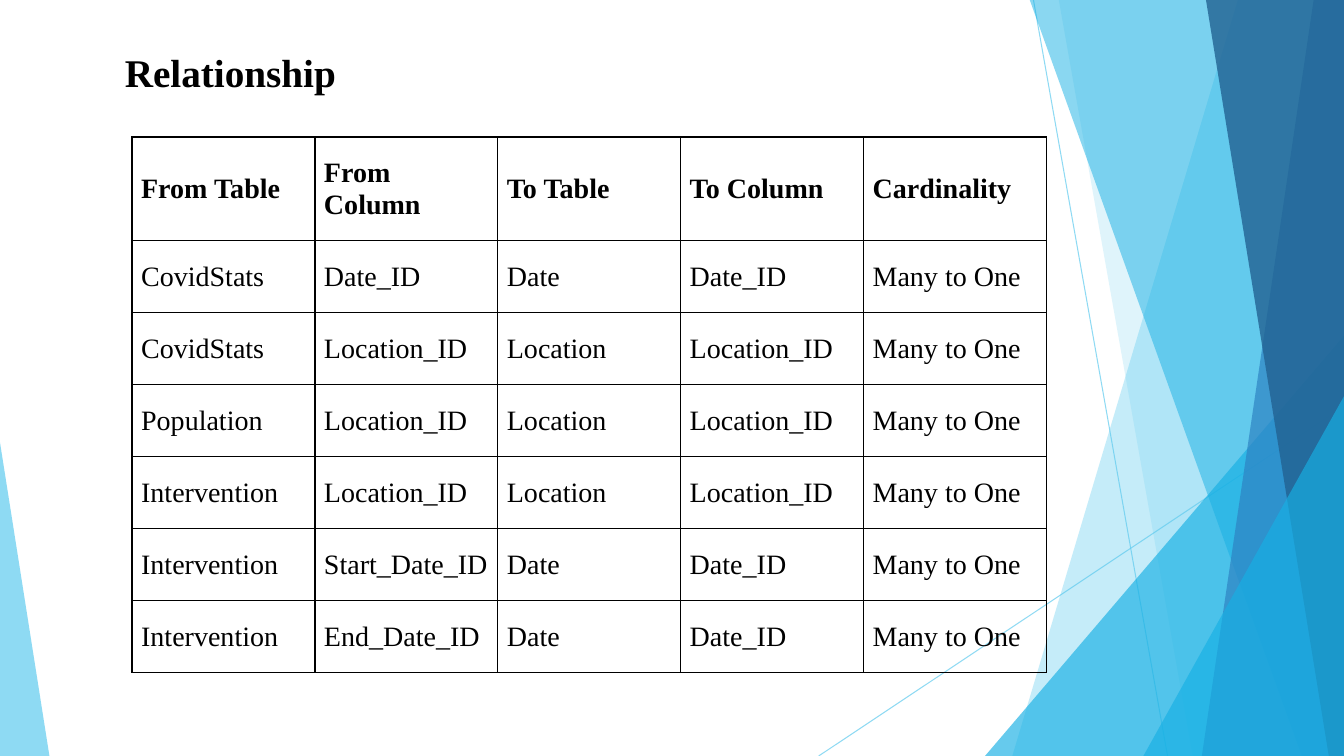
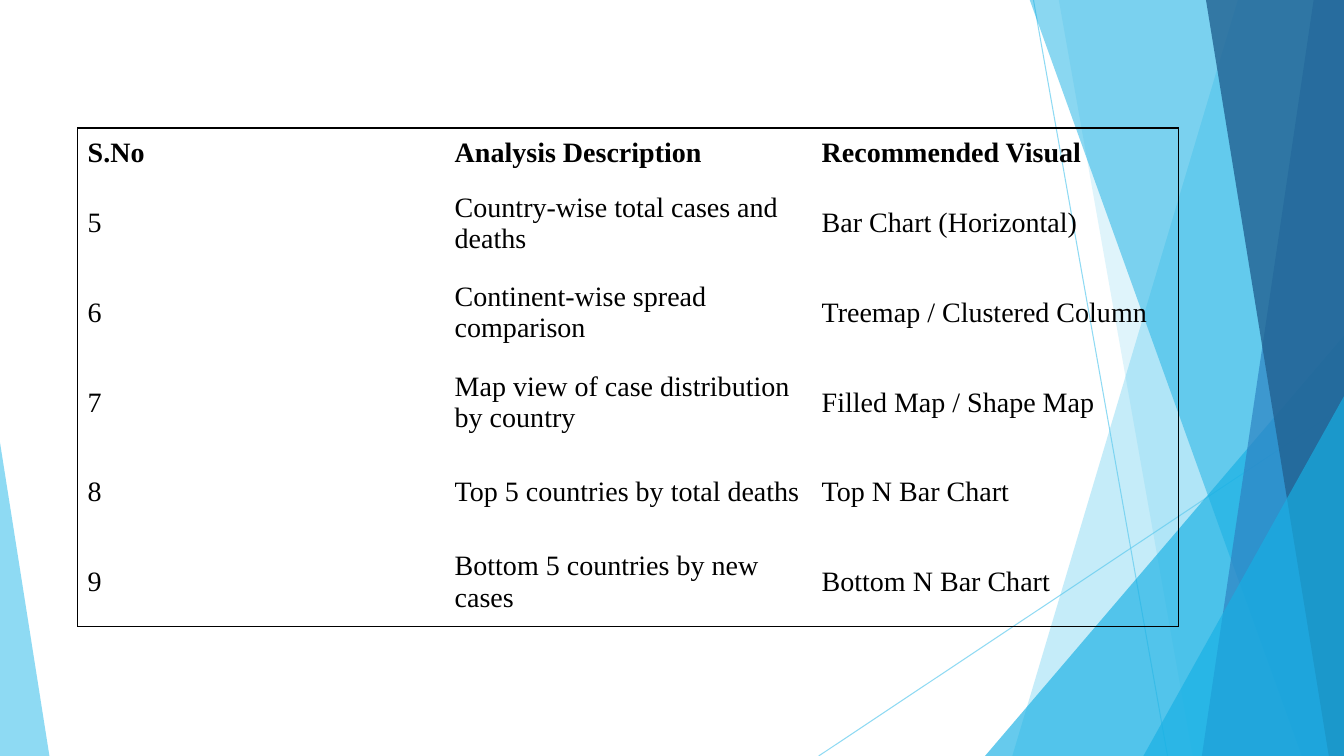
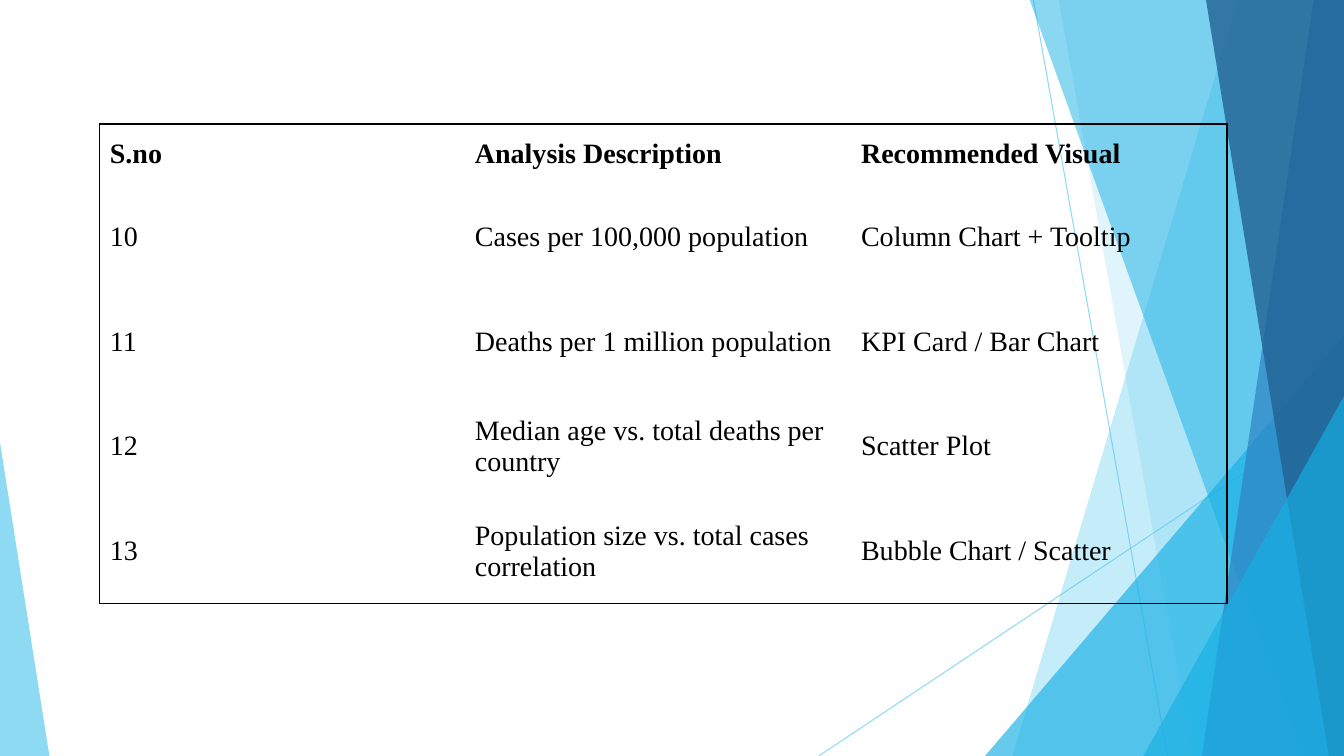
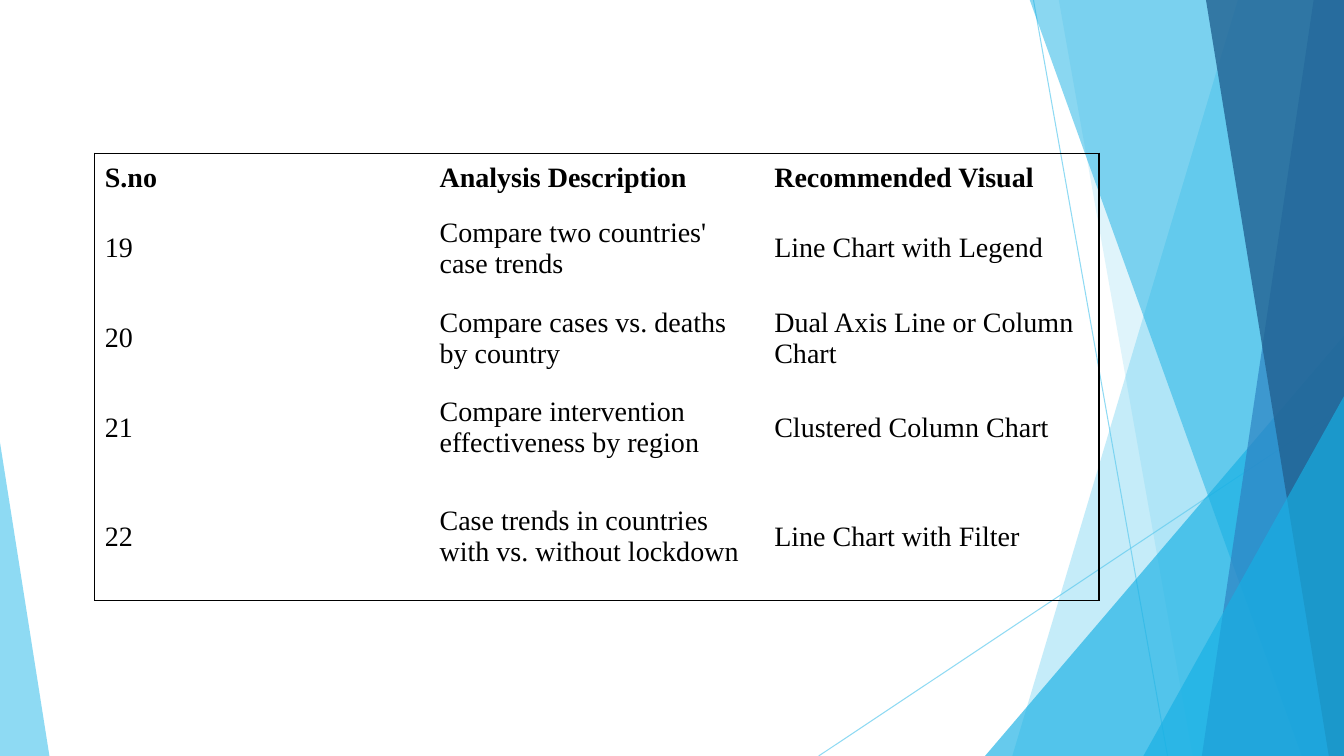
from pptx import Presentation
from pptx.dml.color import RGBColor
from pptx.enum.shapes import MSO_CONNECTOR, MSO_SHAPE
from pptx.enum.text import MSO_ANCHOR, MSO_AUTO_SIZE
from pptx.oxml import parse_xml
from pptx.oxml.ns import nsdecls, qn
from pptx.util import Inches, Pt

WIDTH, HEIGHT = 13.33, 7.5
FONT = "Times New Roman"
COLORS = {
    "text": "000000",
    "sky": "5FCBEF",
    "cyan": "17B0E4",
    "blue": "2E83C3",
    "navy": "226292",
}

# Backdrop, back to front
LINES = [((10.25, 0), (11.58, HEIGHT)), ((WIDTH, 4.03), (8.12, HEIGHT))]
LINE_OPACITY = 70
# band: top-left x, bottom-left x, colour, opacity; it runs to the right edge
# triangle: left, top, width, apex position, colour, opacity; it stands on the bottom edge
BACKDROP = [
    ("band", 12.28, 10.04, "sky", 36),
    ("band", 10.5, 11.83, "sky", 20),
    ("triangle", 9.77, 3.33, 3.56, 1, "cyan", 66),
    ("band", 10.21, 12.91, "cyan", 50),
    ("band", 13.03, 11.92, "blue", 70),
    ("band", 11.96, 13.18, "navy", 80),
    ("triangle", 11.34, 3.93, 1.99, 1, "cyan", 66),
    ("triangle", 0, 4.39, 0.49, 0, "sky", 70),
]

# Slide content
ANALYSIS_HEADINGS = ("Analysis Description", "Recommended Visual")
SLIDES = [
    {
        "title": "Relationship",
        "at": (1.31, 1.36),
        "columns": [1.814] * 5,
        "heights": [1.03] + [0.714] * 6,
        "grid": True,
        "margins": (0.09, 0.04),
        "rows": [
            ("From Table", "From Column", "To Table", "To Column", "Cardinality"),
            ("CovidStats", "Date_ID", "Date", "Date_ID", "Many to One"),
            ("CovidStats", "Location_ID", "Location", "Location_ID", "Many to One"),
            ("Population", "Location_ID", "Location", "Location_ID", "Many to One"),
            ("Intervention", "Location_ID", "Location", "Location_ID", "Many to One"),
            ("Intervention", "Start_Date_ID", "Date", "Date_ID", "Many to One"),
            ("Intervention", "End_Date_ID", "Date", "Date_ID", "Many to One"),
        ],
    },
    {
        "at": (0.77, 1.27),
        "columns": [3.64] * 3,
        "heights": [0.5] + [0.89] * 5,
        "rows": [
            ("S.No", *ANALYSIS_HEADINGS),
            ("5", "Country-wise total cases and deaths", "Bar Chart (Horizontal)"),
            ("6", "Continent-wise spread comparison", "Treemap / Clustered Column"),
            ("7", "Map view of case distribution by country", "Filled Map / Shape Map"),
            ("8", "Top 5 countries by total deaths", "Top N Bar Chart"),
            ("9", "Bottom 5 countries by new cases", "Bottom N Bar Chart"),
        ],
    },
    {
        "at": (0.99, 1.23),
        "columns": [3.62, 3.83, 3.73],
        "heights": [0.6] + [1.04] * 4,
        "rows": [
            ("S.no", *ANALYSIS_HEADINGS),
            ("10", "Cases per 100,000 population", "Column Chart + Tooltip"),
            ("11", "Deaths per 1 million population", "KPI Card / Bar Chart"),
            ("12", "Median age vs. total deaths per country", "Scatter Plot"),
            ("13", "Population size vs. total cases correlation", "Bubble Chart / Scatter"),
        ],
    },
    {
        "at": (0.94, 1.52),
        "columns": [3.32] * 3,
        "heights": [0.5] + [0.89] * 3 + [1.27],
        "rows": [
            ("S.no", *ANALYSIS_HEADINGS),
            ("19", "Compare two countries' case trends", "Line Chart with Legend"),
            ("20", "Compare cases vs. deaths by country", "Dual Axis Line or Column Chart"),
            ("21", "Compare intervention effectiveness by region", "Clustered Column Chart"),
            ("22", "Case trends in countries with vs. without lockdown", "Line Chart with Filter"),
        ],
    },
]


def color(name):
    return RGBColor.from_string(COLORS[name])


def set_opacity(shape, percent):
    for value in shape.element.spPr.iter(qn("a:srgbClr")):
        value.append(parse_xml(f'<a:alpha {nsdecls("a")} val="{percent * 1000}"/>'))


def add_line(page, start, end):
    points = [Inches(value) for value in (*start, *end)]
    line = page.shapes.add_connector(MSO_CONNECTOR.STRAIGHT, *points)
    line.line.color.rgb = color("sky")
    line.line.width = Pt(0.75)
    line.element.spPr.append(parse_xml(f'<a:effectLst {nsdecls("a")}/>'))
    set_opacity(line, LINE_OPACITY)
    return line


def add_band(page, top_x, bottom_x):
    corners = [(top_x, -0.01), (WIDTH, -0.01), (WIDTH, HEIGHT), (bottom_x, HEIGHT)]
    start, *others = [(Inches(x), Inches(y)) for x, y in corners]
    outline = page.shapes.build_freeform(*start)
    outline.add_line_segments(others, close=True)
    return outline.convert_to_shape()


def add_triangle(page, left, top, width, apex):
    box = [Inches(value) for value in (left, top, width, HEIGHT - top)]
    triangle = page.shapes.add_shape(MSO_SHAPE.ISOSCELES_TRIANGLE, *box)
    triangle.adjustments[0] = apex
    return triangle


def add_backdrop(page, layout):
    """Draw the backdrop once and move it to the layout all slides share."""
    for placeholder in list(layout.placeholders):
        layout.shapes.element.remove(placeholder.element)
    parts = [add_line(page, start, end) for start, end in LINES]
    makers = {"band": add_band, "triangle": add_triangle}
    for kind, *geometry, fill, opacity in BACKDROP:
        shape = makers[kind](page, *geometry)
        shape.shadow.inherit = False
        shape.fill.solid()
        shape.fill.fore_color.rgb = color(fill)
        shape.line.fill.background()
        set_opacity(shape, opacity)
        parts.append(shape)
    for part in parts:
        layout.shapes.element.append(part.element)


def style_text(frame, size, bold):
    for para in frame.paragraphs:
        for span in para.runs:
            span.font.name = FONT
            span.font.size = Pt(size)
            span.font.bold = bold
            span.font.color.rgb = color("text")


def add_title(page, text):
    box = page.shapes.add_textbox(Inches(1.14), Inches(0.43), Inches(5.8), Inches(0.57))
    frame = box.text_frame
    frame.word_wrap = True
    frame.auto_size = MSO_AUTO_SIZE.SHAPE_TO_FIT_TEXT
    frame.text = text
    style_text(frame, 28, True)


def set_borders(cell, drawn):
    """Rule the sides that are drawn and clear the others."""
    properties = cell._tc.get_or_add_tcPr()
    for index, side in enumerate("LRTB"):
        if side in drawn:
            paint = f'<a:solidFill><a:srgbClr val="{COLORS["text"]}"/></a:solidFill>'
        else:
            paint = "<a:noFill/>"
        properties.insert(index, parse_xml(
            f'<a:ln{side} {nsdecls("a")} w="{Pt(1)}">{paint}</a:ln{side}>'))


def add_grid(page, at, columns, heights, rows, grid=False, margins=(0.1, 0.05)):
    size = sum(columns), sum(heights)
    box = [Inches(value) for value in (*at, *size)]
    table = page.shapes.add_table(len(rows), len(columns), *box).table
    table.first_row = table.horz_banding = False
    for column, width in zip(table.columns, columns):
        column.width = Inches(width)
    for row, height in zip(table.rows, heights):
        row.height = Inches(height)

    last_row, last_column = len(rows) - 1, len(columns) - 1
    for r, texts in enumerate(rows):
        for c, text in enumerate(texts):
            cell = table.cell(r, c)
            cell.text_frame.text = text
            style_text(cell.text_frame, 20, r == 0)
            cell.vertical_anchor = MSO_ANCHOR.MIDDLE
            cell.margin_left = cell.margin_right = Inches(margins[0])
            cell.margin_top = cell.margin_bottom = Inches(margins[1])
            cell.fill.background()
            edges = {"L": c == 0, "R": c == last_column, "T": r == 0, "B": r == last_row}
            set_borders(cell, [side for side, outer in edges.items() if grid or outer])


def main():
    deck = Presentation()
    deck.slide_width, deck.slide_height = Inches(WIDTH), Inches(HEIGHT)
    blank = deck.slide_layouts[6]
    for number, content in enumerate(SLIDES):
        page = deck.slides.add_slide(blank)
        if number == 0:
            add_backdrop(page, blank)
        add_grid(page, **{key: value for key, value in content.items() if key != "title"})
        if "title" in content:
            add_title(page, content["title"])
    deck.save("out.pptx")


if __name__ == "__main__":
    main()
